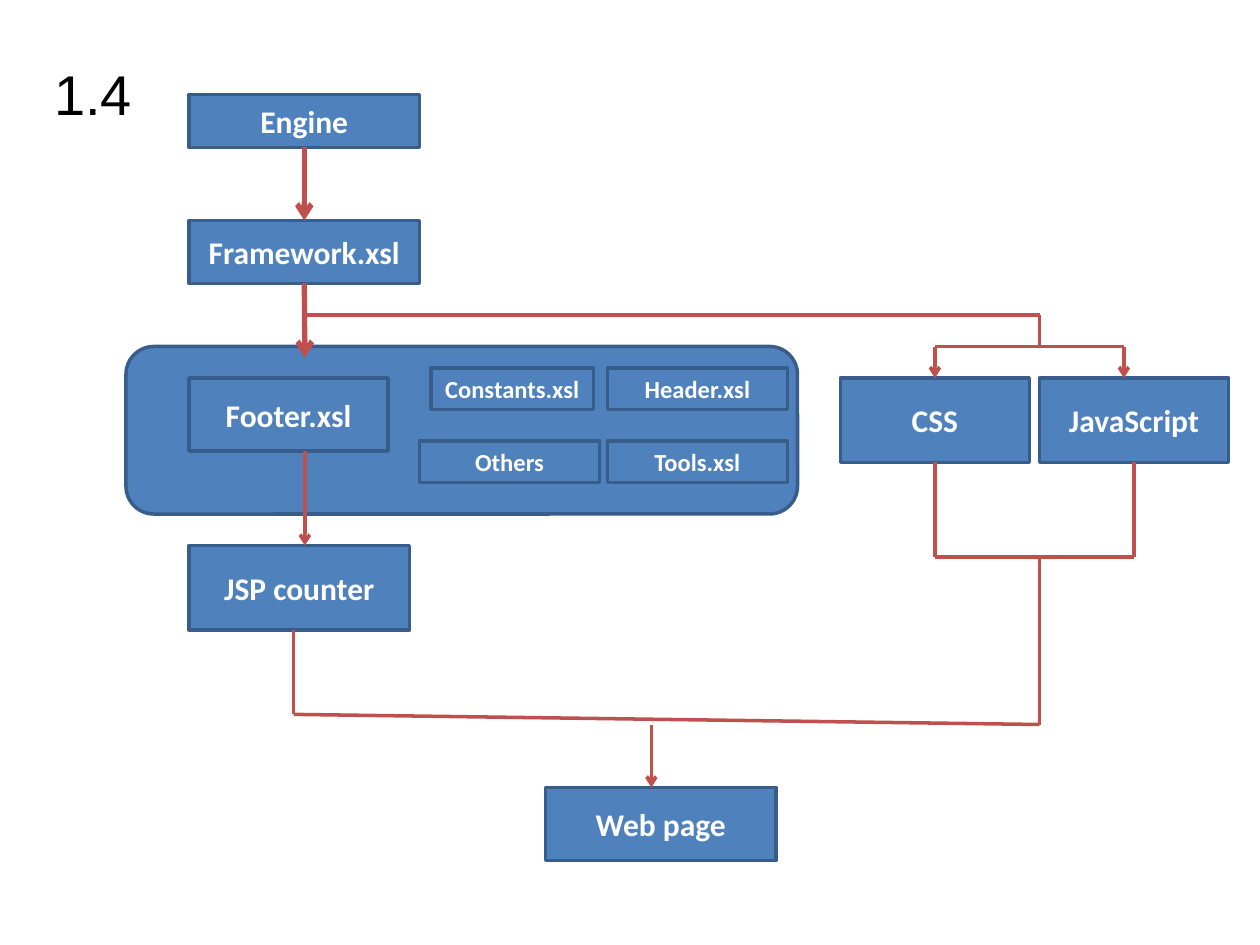
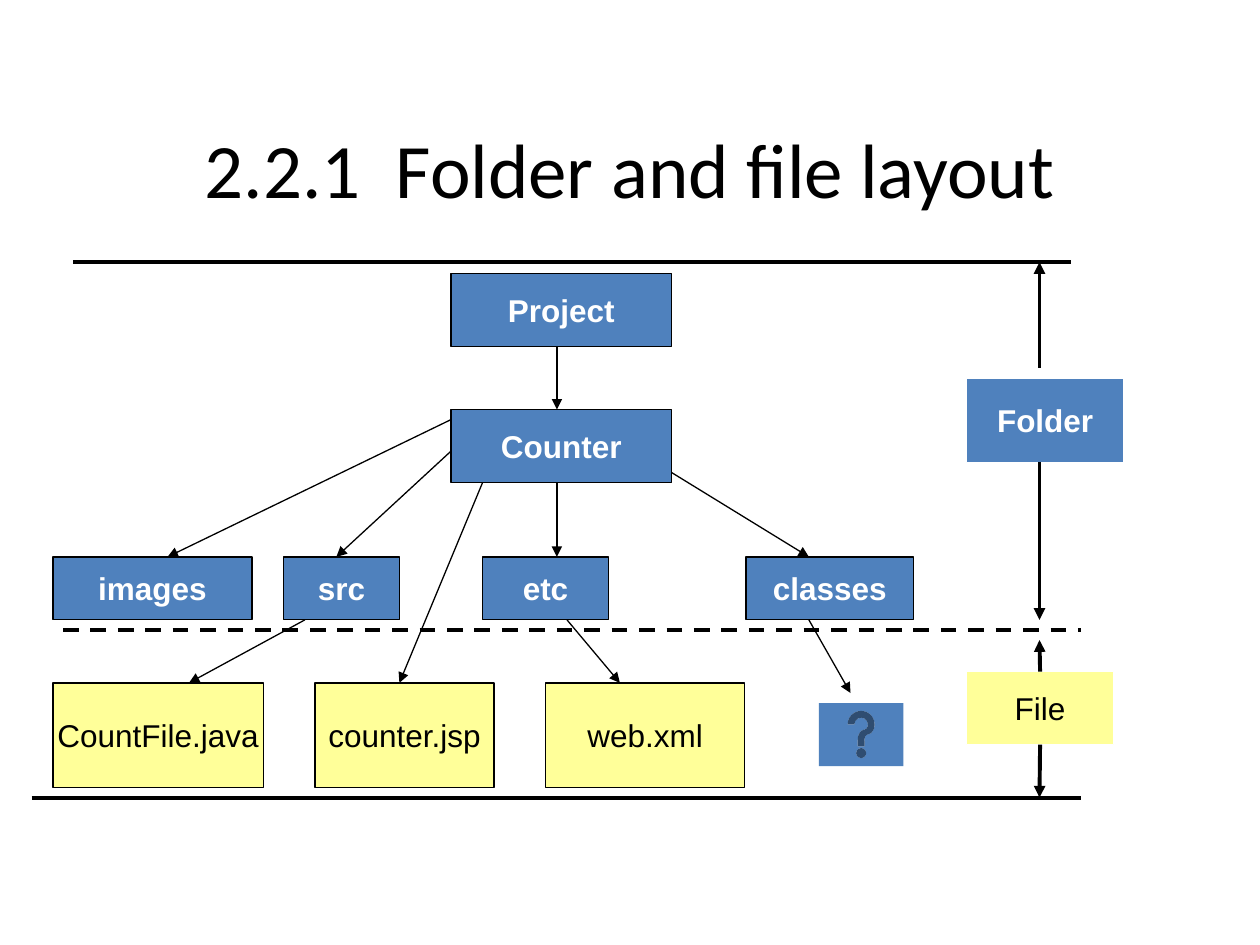
from dataclasses import dataclass
from typing import Optional

import pptx
import pptx.dml.color
import pptx.enum.dml
import pptx.enum.shapes
import pptx.enum.text
import pptx.oxml.ns
import pptx.util
from lxml import etree
from pptx.util import Inches

SHAPE = pptx.enum.shapes.MSO_SHAPE
ANCHOR = pptx.enum.text.MSO_ANCHOR
ALIGN = pptx.enum.text.PP_ALIGN


@dataclass(frozen=True)
class Theme:
    blue: str = "4F81BD"
    navy: str = "385D8A"
    red: str = "C0504D"
    yellow: str = "FFFF99"
    black: str = "000000"
    white: str = "FFFFFF"
    heading_font: str = "Calibri"
    label_font: str = "Arial"
    title_size: float = 44
    number_size: float = 32
    label_size: float = 18
    small_size: float = 14
    hairline: float = 0.75
    medium: float = 2
    rule: float = 2.25
    heavy: float = 3


THEME = Theme()


@dataclass(frozen=True)
class BoxStyle:
    fill: str
    outline: Optional[str]
    text: str
    font: str
    size: float = THEME.label_size
    bold: bool = True
    wrap: bool = True
    weight: float = THEME.hairline


@dataclass(frozen=True)
class Box:
    text: str
    left: float
    top: float
    width: float
    height: float
    style: BoxStyle
    kind: SHAPE = SHAPE.RECTANGLE


@dataclass(frozen=True)
class Line:
    x1: float
    y1: float
    x2: float
    y2: float
    color: str
    weight: float
    head: Optional[str] = None
    dashed: bool = False


STEP = BoxStyle(THEME.blue, THEME.navy, THEME.white, THEME.heading_font, weight=THEME.medium)
PART = BoxStyle(THEME.blue, THEME.navy, THEME.white, THEME.heading_font,
                THEME.small_size, weight=THEME.medium)
FOLDER = BoxStyle(THEME.blue, THEME.black, THEME.white, THEME.label_font, wrap=False)
FOLDER_KEY = BoxStyle(THEME.blue, THEME.white, THEME.white, THEME.label_font, wrap=False)
FILE = BoxStyle(THEME.yellow, THEME.black, THEME.black, THEME.label_font, bold=False, wrap=False)
FILE_KEY = BoxStyle(THEME.yellow, THEME.white, THEME.black, THEME.label_font, bold=False, wrap=False)
BUTTON = BoxStyle(THEME.blue, None, THEME.white, THEME.label_font)


def rgb(value: str) -> pptx.dml.color.RGBColor:
    return pptx.dml.color.RGBColor.from_string(value)


def add_span(para, text: str, font: str, size: float, color: str, bold: bool = False):
    span = para.add_run()
    span.text = text
    span.font.name = font
    span.font.size = pptx.util.Pt(size)
    span.font.bold = bold
    span.font.color.rgb = rgb(color)
    return span


def place_title(page, left: float, top: float, width: float, height: float,
                anchor: ANCHOR, align: ALIGN):
    title = page.shapes.title
    title.left, title.top = Inches(left), Inches(top)
    title.width, title.height = Inches(width), Inches(height)
    frame = title.text_frame
    frame.auto_size = pptx.enum.text.MSO_AUTO_SIZE.NONE
    frame.word_wrap = True
    frame.vertical_anchor = anchor
    para = frame.paragraphs[0]
    para.alignment = align
    return para


def draw_box(page, box: Box):
    style = box.style
    shape = page.shapes.add_shape(box.kind, Inches(box.left), Inches(box.top),
                                  Inches(box.width), Inches(box.height))
    shape.shadow.inherit = False
    shape.fill.solid()
    shape.fill.fore_color.rgb = rgb(style.fill)
    if style.outline:
        shape.line.color.rgb = rgb(style.outline)
        shape.line.width = pptx.util.Pt(style.weight)
    else:
        shape.line.fill.background()
    if box.text:
        frame = shape.text_frame
        frame.word_wrap = style.wrap
        frame.vertical_anchor = ANCHOR.MIDDLE
        para = frame.paragraphs[0]
        para.alignment = ALIGN.CENTER
        add_span(para, box.text, style.font, style.size, style.text, style.bold)
    return shape


def find_side(boxes: list[Box], x: float, y: float) -> Optional[tuple[int, int]]:
    for index, box in enumerate(boxes):
        middle_x, middle_y = box.left + box.width / 2, box.top + box.height / 2
        sides = ((middle_x, box.top), (box.left, middle_y),
                 (middle_x, box.top + box.height), (box.left + box.width, middle_y))
        for side, (side_x, side_y) in enumerate(sides):
            if max(abs(side_x - x), abs(side_y - y)) < 0.02:
                return index, side
    return None


def draw_line(page, line: Line, boxes: list[Box], shapes: list) -> None:
    connector = page.shapes.add_connector(
        pptx.enum.shapes.MSO_CONNECTOR.STRAIGHT,
        Inches(line.x1), Inches(line.y1), Inches(line.x2), Inches(line.y2))
    connector.line.color.rgb = rgb(line.color)
    connector.line.width = pptx.util.Pt(line.weight)
    if line.dashed:
        connector.line.dash_style = pptx.enum.dml.MSO_LINE.DASH
    if line.head:
        tail = etree.SubElement(connector.line._get_or_add_ln(), pptx.oxml.ns.qn("a:tailEnd"))
        tail.set("type", line.head)
    etree.SubElement(connector._element.spPr, pptx.oxml.ns.qn("a:effectLst"))
    start = find_side(boxes, line.x1, line.y1)
    end = find_side(boxes, line.x2, line.y2)
    if start:
        connector.begin_connect(shapes[start[0]], start[1])
    if end:
        connector.end_connect(shapes[end[0]], end[1])


def draw_diagram(page, boxes: list[Box], lines: list[Line]) -> None:
    shapes = [draw_box(page, box) for box in boxes]
    for line in lines:
        draw_line(page, line, boxes, shapes)


def flow(x1: float, y1: float, x2: float, y2: float, head: Optional[str] = None,
         weight: float = THEME.medium) -> Line:
    return Line(x1, y1, x2, y2, THEME.red, weight, head)


def branch(x1: float, y1: float, x2: float, y2: float) -> Line:
    return Line(x1, y1, x2, y2, THEME.black, THEME.hairline, "triangle")


def span_arrow(y1: float, y2: float) -> Line:
    return Line(8.25, y1, 8.25, y2, THEME.black, THEME.rule, "triangle")


def divider(left: float, right: float, y: float, dashed: bool = False) -> Line:
    return Line(left, y, right, y, THEME.black, THEME.rule, dashed=dashed)


def build_engine_page(deck) -> None:
    page = deck.slides.add_slide(deck.slide_layouts[5])
    para = place_title(page, 0.33, 0.42, 0.92, 0.64, ANCHOR.TOP, ALIGN.LEFT)
    add_span(para, "1.4", THEME.label_font, THEME.number_size, THEME.black)
    boxes = [
        Box("", 1, 2.75, 5.33, 1.33, STEP, SHAPE.ROUNDED_RECTANGLE),
        Box("Footer.xsl", 1.5, 3, 1.58, 0.58, STEP),
        Box("Engine", 1.5, 0.75, 1.83, 0.42, STEP),
        Box("Framework.xsl", 1.5, 1.75, 1.83, 0.5, STEP),
        Box("JSP counter", 1.5, 4.33, 1.75, 0.67, STEP),
        Box("Constants.xsl", 3.42, 2.92, 1.29, 0.33, PART),
        Box("Header.xsl", 4.82, 2.92, 1.43, 0.33, PART),
        Box("Others", 3.33, 3.5, 1.43, 0.33, PART),
        Box("Tools.xsl", 4.82, 3.5, 1.43, 0.33, PART),
        Box("CSS", 6.67, 3, 1.5, 0.67, STEP),
        Box("JavaScript", 8.25, 3, 1.5, 0.67, STEP),
        Box("Web page", 4.33, 6.25, 1.83, 0.58, STEP),
    ]
    lines = [
        flow(2.42, 1.17, 2.42, 1.75, "arrow", THEME.heavy),
        flow(2.42, 2.25, 2.42, 2.84, "arrow", THEME.heavy),
        flow(2.42, 2.5, 8.25, 2.5),
        flow(8.25, 2.75, 8.25, 2.5),
        flow(7.42, 2.75, 8.92, 2.75),
        flow(7.42, 2.75, 7.42, 3, "arrow"),
        flow(8.92, 2.75, 8.92, 3, "arrow"),
        flow(2.33, 5, 2.33, 5.67),
        flow(2.33, 5.67, 8.25, 5.75),
        flow(7.42, 3.67, 7.42, 4.42),
        flow(9, 3.67, 9, 4.42),
        flow(7.42, 4.42, 9, 4.42),
        flow(8.25, 4.42, 8.25, 5.75),
        flow(5.17, 5.75, 5.17, 6.25, "arrow"),
        flow(2.42, 3.58, 2.42, 4.33, "arrow"),
    ]
    draw_diagram(page, boxes, lines)


def build_layout_page(deck) -> None:
    page = deck.slides.add_slide(deck.slide_layouts[5])
    para = place_title(page, 0.5, 0.5, 9, 1.25, ANCHOR.BOTTOM, ALIGN.CENTER)
    look = (THEME.heading_font, THEME.title_size, THEME.black)
    add_span(para, "2.2.1", *look)
    gap = add_span(para, " ", *look)
    gap.font._element.set("spc", "1000")
    add_span(para, "Folder and file layout", *look)

    boxes = [Box(text, 3.58, top, 1.75, 0.58, FOLDER)
             for text, top in (("Project", 2.17), ("Counter", 3.25))]
    boxes += [Box(text, left, 4.42, width, 0.5, FOLDER)
              for text, left, width in (("images", 0.42, 1.58), ("src", 2.25, 0.92),
                                        ("etc", 3.83, 1), ("classes", 5.92, 1.33))]
    boxes += [Box(text, left, 5.42, width, 0.83, FILE)
              for text, left, width in (("CountFile.java", 0.42, 1.67),
                                        ("counter.jsp", 2.5, 1.42), ("web.xml", 4.33, 1.58))]
    boxes += [
        Box("Folder", 7.67, 3, 1.25, 0.67, FOLDER_KEY),
        Box("File", 7.67, 5.33, 1.17, 0.58, FILE_KEY),
        Box("", 6.5, 5.58, 0.67, 0.5, BUTTON, SHAPE.ACTION_BUTTON_HELP),
    ]
    lines = [
        divider(0.58, 8.5, 2.08),
        divider(0.5, 8.58, 5, dashed=True),
        divider(0.25, 8.58, 6.33),
        span_arrow(2.92, 2.08),
        span_arrow(3.67, 4.92),
        span_arrow(5.33, 5.08),
        span_arrow(5.92, 6.33),
        branch(4.42, 2.75, 4.42, 3.25),
        branch(3.58, 3.33, 1.33, 4.42),
        branch(3.58, 3.58, 2.67, 4.42),
        branch(3.83, 3.83, 3.17, 5.42),
        branch(4.42, 3.83, 4.42, 4.42),
        branch(5.33, 3.75, 6.42, 4.42),
        branch(2.42, 4.92, 1.5, 5.42),
        branch(4.5, 4.92, 4.92, 5.42),
        branch(6.42, 4.92, 6.75, 5.5),
    ]
    draw_diagram(page, boxes, lines)


def main() -> None:
    deck = pptx.Presentation()
    deck.slide_width, deck.slide_height = Inches(10), Inches(7.5)
    build_engine_page(deck)
    build_layout_page(deck)
    deck.save("out.pptx")


if __name__ == "__main__":
    main()
